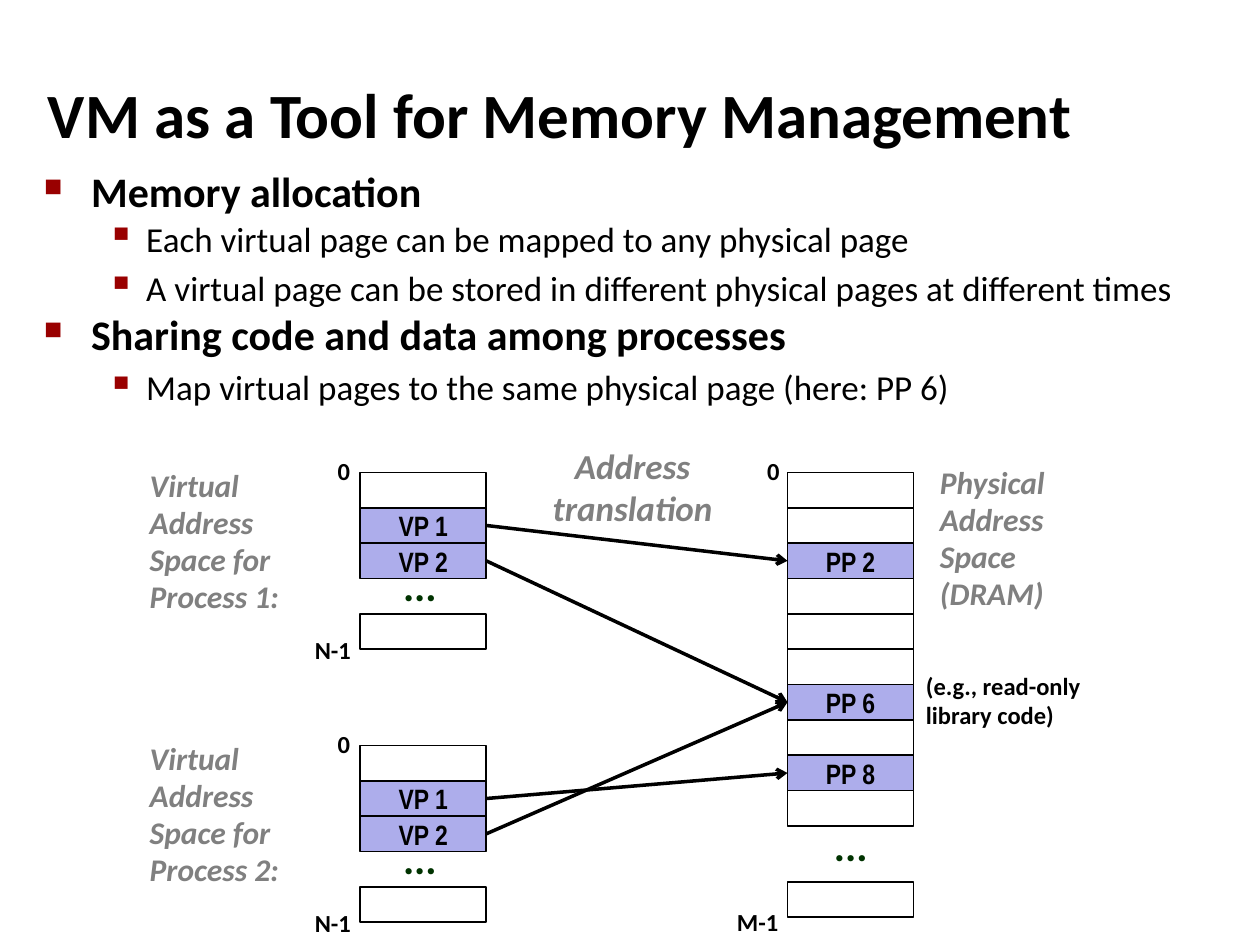
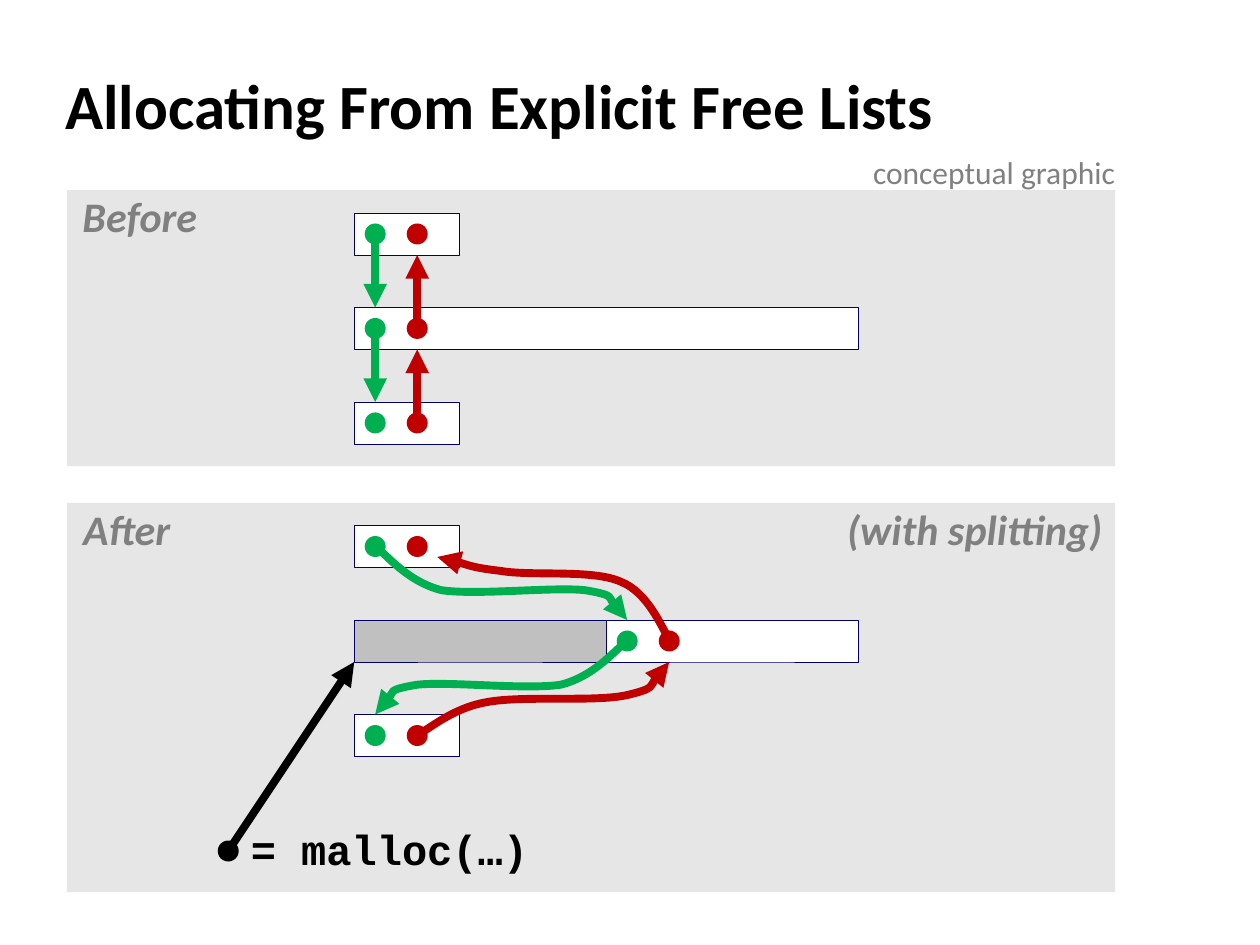
from lxml import etree
from pptx import Presentation
from pptx.dml.color import RGBColor
from pptx.enum.shapes import MSO_CONNECTOR, MSO_SHAPE
from pptx.enum.text import MSO_ANCHOR, MSO_AUTO_SIZE, PP_ALIGN
from pptx.oxml.ns import qn
from pptx.util import Pt

RECTANGLE, OVAL = MSO_SHAPE.RECTANGLE, MSO_SHAPE.OVAL
STRAIGHT = MSO_CONNECTOR.STRAIGHT
LEFT, CENTER = PP_ALIGN.LEFT, PP_ALIGN.CENTER
MIDDLE, NO_FIT = MSO_ANCHOR.MIDDLE, MSO_AUTO_SIZE.NONE
LEFT_SITE, RIGHT_SITE = 1, 3

COLORS = {
    "black": "000000",
    "white": "FFFFFF",
    "gray": "808080",
    "panel": "E6E6E6",
    "allocated": "C0C0C0",
    "page": "ADADEB",
    "dots": "003300",
    "bullet": "990000",
    "outline": "000066",
    "next": "00B050",
    "previous": "C00000",
}

ROW = 20.2
CELL_WIDTH = 72
DOT = 12
NODE_HEIGHT = 24
NODE_STEP = 54
SHORT_NODE, LONG_NODE = 60, 288
NEXT_X, PREVIOUS_X = 12, 36
NODES_LEFT, NODES_TOP = 164.2, 13

NEXT_CURVE = [(12, 12), (18, 16), (30, 32), (50, 37), (70, 40), (114, 35),
              (132, 37), (150, 40), (151, 50), (156, 54)]
NEXT_CURVE_BACK = [(168 - x, y + NODE_STEP) for x, y in NEXT_CURVE]
PREVIOUS_CURVE = [(180, 65), (176, 59), (168, 38), (152, 32), (136, 25), (101.5, 29),
                  (84, 26), (67, 24), (55.5, 19.5), (47.5, 18)]
PREVIOUS_CURVE_BACK = [(36, 119.5), (42.5, 117), (55.5, 104.5), (75.5, 101), (96, 97),
                       (137.5, 101), (155.5, 97), (173, 93), (175, 82), (180, 78)]


def rgb(name):
    return RGBColor.from_string(COLORS[name])


def add_run(paragraph, text, size, color="black", bold=True, italic=False, font="Calibri"):
    run = paragraph.add_run()
    run.text = text
    run.font.name = font
    run.font.size = Pt(size)
    run.font.bold = bold
    run.font.italic = italic
    run.font.color.rgb = rgb(color)


def add_text(slide, box, lines, size, spacing=0.98, wrap=False, inset=7.2,
             align=LEFT, **style):
    frame = slide.shapes.add_textbox(*map(Pt, box)).text_frame
    frame.word_wrap = wrap
    frame.margin_left = frame.margin_right = Pt(inset)
    for index, line in enumerate(lines):
        paragraph = frame.paragraphs[0] if index == 0 else frame.add_paragraph()
        paragraph.alignment = align
        paragraph.line_spacing = spacing
        add_run(paragraph, line, size, **style)


def add_block(slide, kind, box, fill=None, line=None, width=1):
    shape = slide.shapes.add_shape(kind, *map(Pt, box))
    shape.shadow.inherit = False
    if fill:
        shape.fill.solid()
        shape.fill.fore_color.rgb = rgb(fill)
    else:
        shape.fill.background()
    if line:
        shape.line.color.rgb = rgb(line)
        shape.line.width = Pt(width)
    else:
        shape.line.fill.background()
    return shape


def style_arrow(shape, color, width, head):
    shape.line.color.rgb = rgb(color)
    shape.line.width = Pt(width)
    etree.SubElement(shape.line._get_or_add_ln(), qn("a:tailEnd"), type=head)


def add_arrow(slide, start, end, color, width=4.5, head="triangle"):
    connector = slide.shapes.add_connector(STRAIGHT, *map(Pt, (*start, *end)))
    style_arrow(connector, color, width, head)
    etree.SubElement(connector._element.spPr, qn("a:effectLst"))
    return connector


def add_curve(slide, origin, points, color):
    placed = [(Pt(origin[0] + x), Pt(origin[1] + y)) for x, y in points]
    builder = slide.shapes.build_freeform(*placed[0])
    builder.add_line_segments(placed[1:], close=False)
    shape = builder.convert_to_shape()
    shape.shadow.inherit = False
    shape.fill.background()
    style_arrow(shape, color, 4.5, "triangle")
    outline = next(shape._element.iter(qn("a:pathLst")))[0]
    segments = outline.findall(qn("a:lnTo"))
    for first in range(0, len(segments), 3):
        cubic = etree.SubElement(outline, qn("a:cubicBezTo"))
        for segment in segments[first:first + 3]:
            cubic.append(segment[0])
            outline.remove(segment)


def add_titled_slide(presentation, text, box):
    slide = presentation.slides.add_slide(presentation.slide_layouts[5])
    title = slide.shapes.title
    title.left, title.top, title.width, title.height = map(Pt, box)
    frame = title.text_frame
    frame.auto_size = NO_FIT
    frame.vertical_anchor = MIDDLE
    frame.paragraphs[0].alignment = LEFT
    add_run(frame.paragraphs[0], text, 36)
    return slide


def add_bullets(slide, box, items):
    frame = slide.shapes.add_textbox(*map(Pt, box)).text_frame
    frame.word_wrap = True
    for index, (level, spacing, text) in enumerate(items):
        paragraph = frame.paragraphs[0] if index == 0 else frame.add_paragraph()
        margin, indent, character, percent, size = [
            (27, -27, "■", 60, 24), (58.5, -22.5, "▪", 110, 20)][level]
        properties = paragraph._p.get_or_add_pPr()
        properties.set("marL", str(Pt(margin)))
        properties.set("indent", str(Pt(indent)))
        bullet_color = etree.SubElement(properties, qn("a:buClr"))
        etree.SubElement(bullet_color, qn("a:srgbClr"), val=COLORS["bullet"])
        etree.SubElement(properties, qn("a:buSzPct"), val=str(percent * 1000))
        etree.SubElement(properties, qn("a:buChar"), char=character)
        paragraph.level = level
        paragraph.line_spacing = spacing
        if index:
            paragraph.space_before = Pt(size / 5)
        add_run(paragraph, text, size, bold=level == 0)


def add_page(slide, left, top, name=""):
    cell = add_block(slide, RECTANGLE, (left, top, CELL_WIDTH, ROW),
                     "page" if name else None, "black")
    if name:
        frame = cell.text_frame
        frame.margin_top = frame.margin_bottom = 0
        frame.vertical_anchor = MIDDLE
        frame.paragraphs[0].alignment = CENTER
        add_run(frame.paragraphs[0], name, 16, font="Arial Narrow")
    return cell


def add_pages(slide, left, top, names):
    return {name: add_page(slide, left, top + row * ROW, name)
            for row, name in enumerate(names)}


def add_ellipsis(slide, left, top):
    add_text(slide, (left, top, 34, 32.4), ["..."], 24, 0.88, color="dots")


def add_virtual_space(slide, left, top, process):
    add_text(slide, (left, top - 6, 108, 92), [f"Virtual Address Space for Process {process}:"],
             18, wrap=True, color="gray", italic=True)
    add_text(slide, (left + 107.3, top - 12, 22.3, 24), ["0"], 14)
    add_text(slide, (left + 94.3, top + 90, 35.3, 24), ["N-1"], 14)
    pages = add_pages(slide, left + 127.4, top, ["", "VP 1", "VP 2"])
    add_page(slide, left + 127.4, top + 4 * ROW)
    add_ellipsis(slide, left + 144.7, top + 50)
    return pages


def add_physical_space(slide, left, top):
    add_text(slide, (left + 116, top - 8, 84, 93), ["Physical", "Address", "Space (DRAM)"],
             18, wrap=True, color="gray", italic=True)
    add_text(slide, (left + 17.3, top - 12, 22.3, 24), ["0"], 14)
    add_text(slide, (left, top + 245.5, 38.2, 24), ["M-1"], 14)
    pages = add_pages(slide, left + 36, top,
                      ["", "", "PP 2", "", "", "", "PP 6", "", "PP 8", ""])
    add_page(slide, left + 36, top + 234)
    add_ellipsis(slide, left + 55.4, top + 198.7)
    add_text(slide, (left + 108, top + 111, 114.5, 40), ["(e.g., read-only", "library code)"],
             14, wrap=True)
    return pages


def add_mapping(slide, virtual_page, physical_page):
    arrow = add_arrow(slide, (0, 0), (1, 1), "black", 2, "arrow")
    arrow.begin_connect(virtual_page, RIGHT_SITE)
    arrow.end_connect(physical_page, LEFT_SITE)


def build_memory_management(presentation):
    slide = add_titled_slide(presentation, "VM as a Tool for Memory Management",
                             (20.2, 41.8, 678, 45.4))
    add_bullets(slide, (18, 95.8, 690, 150), [
        (0, 0.83, "Memory allocation"),
        (1, 0.88, "Each virtual page can be mapped to any physical page"),
        (1, 1.0, "A virtual page can be stored in different physical pages at different times"),
        (0, 0.83, "Sharing code and data among processes"),
        (1, 1.0, "Map virtual pages to the same physical page (here: PP 6)"),
    ])
    first = add_virtual_space(slide, 78.5, 270, 1)
    second = add_virtual_space(slide, 78.5, 426, 2)
    physical = add_physical_space(slide, 414, 270)
    for pages, virtual, target in [(first, "VP 1", "PP 2"), (first, "VP 2", "PP 6"),
                                   (second, "VP 2", "PP 6"), (second, "VP 1", "PP 8")]:
        add_mapping(slide, pages[virtual], physical[target])
    add_text(slide, (308.2, 250.6, 106.6, 55.4), ["Address", "translation"], 20, 1.0,
             align=CENTER, color="gray", italic=True)


def add_panel(slide, box, caption, caption_width):
    add_block(slide, RECTANGLE, box, "panel")
    add_panel_text(slide, (box[0] + 5, box[1], caption_width, 34), caption)
    return box[0] + NODES_LEFT, box[1] + NODES_TOP


def add_panel_text(slide, box, text, color="gray", italic=True, font="Calibri"):
    add_text(slide, box, [text], 24, 0.9, inset=3.6, align=CENTER,
             color=color, italic=italic, font=font)


def add_node(slide, left, top, width, fill="white"):
    add_block(slide, RECTANGLE, (left, top, width, NODE_HEIGHT), fill, "outline", 0.25)


def add_dot(slide, x, y, color):
    add_block(slide, OVAL, (x - DOT / 2, y - DOT / 2, DOT, DOT), color)


def add_pointers(slide, left, top):
    add_dot(slide, left + NEXT_X, top + NODE_HEIGHT / 2, "next")
    add_dot(slide, left + PREVIOUS_X, top + NODE_HEIGHT / 2, "previous")


def add_before(slide, box):
    left, top = add_panel(slide, box, "Before", 73.4)
    tops = [top + row * NODE_STEP for row in range(3)]
    for node_top, width in zip(tops, (SHORT_NODE, LONG_NODE, SHORT_NODE)):
        add_node(slide, left, node_top, width)
        add_pointers(slide, left, node_top)
    for upper, lower in zip(tops, tops[1:]):
        next_x, previous_x = left + NEXT_X, left + PREVIOUS_X
        add_arrow(slide, (next_x, upper + NODE_HEIGHT / 2), (next_x, lower), "next")
        add_arrow(slide, (previous_x, lower + NODE_HEIGHT / 2),
                  (previous_x, upper + NODE_HEIGHT), "previous")


def add_after(slide, box):
    left, top = add_panel(slide, box, "After", 58.3)
    add_panel_text(slide, (box[0] + 441.4, box[1], 154.8, 34), "(with splitting)")
    half = LONG_NODE / 2
    middle = top + NODE_STEP
    add_node(slide, left, middle, half, "allocated")
    for node_left, node_top, width in [(left, top, SHORT_NODE), (left + half, middle, half),
                                       (left, middle + NODE_STEP, SHORT_NODE)]:
        add_node(slide, node_left, node_top, width)
        add_pointers(slide, node_left, node_top)
    for points, color in [(NEXT_CURVE, "next"), (NEXT_CURVE_BACK, "next"),
                          (PREVIOUS_CURVE, "previous"), (PREVIOUS_CURVE_BACK, "previous")]:
        add_curve(slide, (left, top), points, color)
    result = (left - 72, top + 186)
    add_dot(slide, *result, "black")
    add_arrow(slide, result, (left, middle + NODE_HEIGHT), "black")
    add_panel_text(slide, (left - 63.4, top + 170, 167, 34), "= malloc(…)",
                   "black", False, "Courier New")


def build_free_lists(presentation):
    slide = add_titled_slide(presentation, "Allocating From Explicit Free Lists",
                             (30.2, 36.7, 630, 45.4))
    add_before(slide, (38.2, 108.7, 599, 157.7))
    add_after(slide, (38.2, 287.3, 599, 222.5))
    add_text(slide, (491.8, 84.2, 156.2, 28.8), ["conceptual graphic"], 18, 1.0,
             color="gray", bold=False)


def main():
    presentation = Presentation()
    presentation.slide_width, presentation.slide_height = Pt(720), Pt(540)
    build_memory_management(presentation)
    build_free_lists(presentation)
    presentation.save("out.pptx")


if __name__ == "__main__":
    main()
